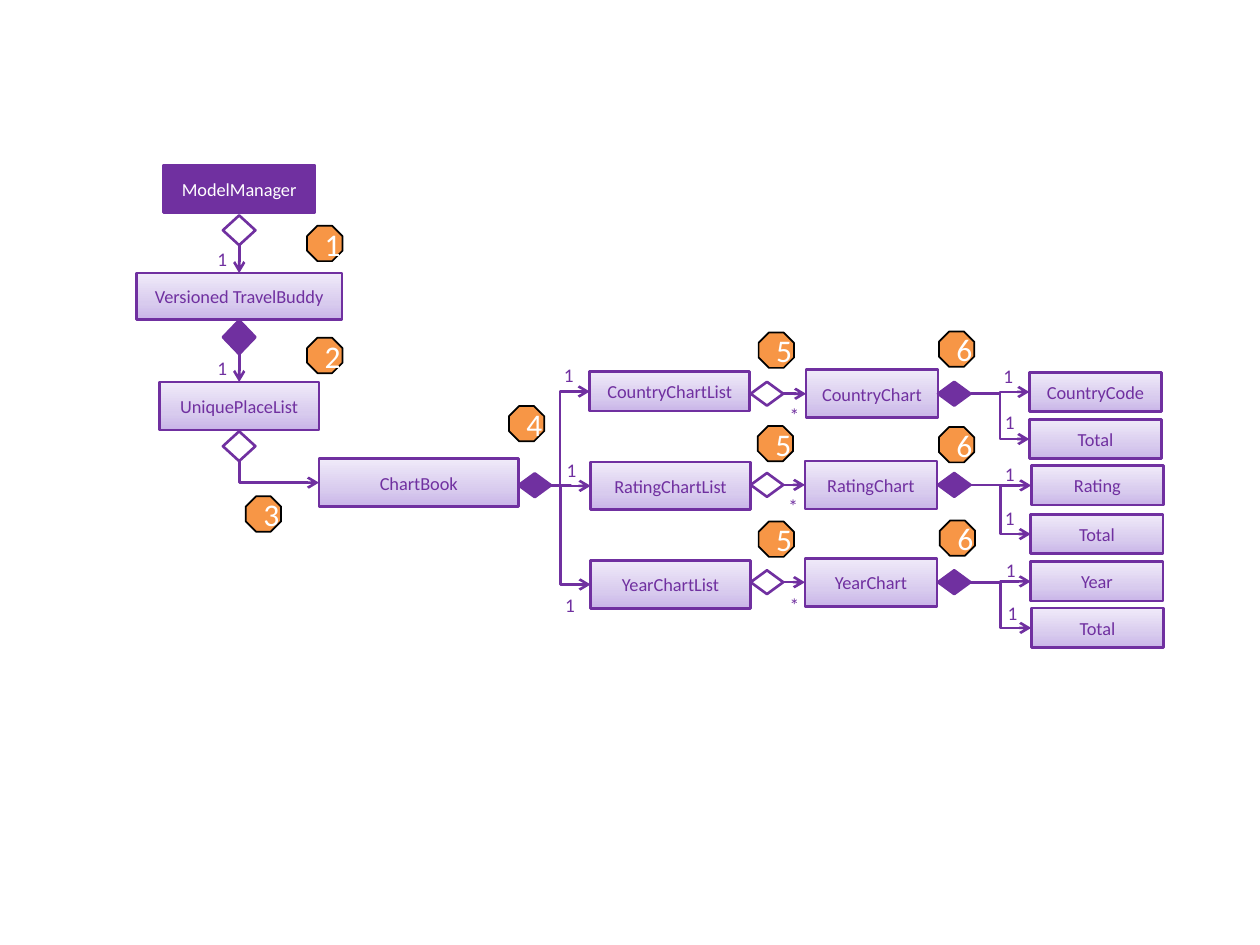
import pptx
import pptx.dml.color
import pptx.enum.shapes
import pptx.enum.text
import pptx.oxml.ns
import pptx.util
from lxml import etree

Pt = pptx.util.Pt
SHAPE = pptx.enum.shapes.MSO_SHAPE
CONNECTOR = pptx.enum.shapes.MSO_CONNECTOR
qn = pptx.oxml.ns.qn
TOP, LEFT, BOTTOM, RIGHT = range(4)


def colour(hex_value):
    return pptx.dml.color.RGBColor.from_string(hex_value)


class ClassDiagram:
    FONT = "Calibri"
    PURPLE, ORANGE, BLACK, WHITE = "7030A0", "F79646", "000000", "FFFFFF"
    GRADIENT = ((0, "C9B5E8"), (35, "D8CBEE"), (100, "F0EAF9"))
    DIAMOND_WIDTH = 18.6

    def __init__(self, slide):
        self.slide = slide

    def add_text(self, frame, text, size, text_colour):
        paragraph = frame.paragraphs[0]
        paragraph.alignment = pptx.enum.text.PP_ALIGN.CENTER
        run = paragraph.add_run()
        run.text = text
        run.font.name = self.FONT
        run.font.size = Pt(size)
        run.font.color.rgb = colour(text_colour)

    def outline(self, kind, left, top, width, height, line, weight):
        shape = self.slide.shapes.add_shape(
            kind, Pt(left), Pt(top), Pt(width), Pt(height))
        shape.shadow.inherit = False
        shape.line.color.rgb = colour(line)
        shape.line.width = Pt(weight)
        return shape

    def box(self, name, left, middle, width, height, solid=False):
        """A class box, placed by its left edge and vertical middle."""
        box = self.outline(SHAPE.RECTANGLE, left, middle - height / 2,
                           width, height, self.PURPLE, 1.5)
        if solid:
            box.fill.solid()
            box.fill.fore_color.rgb = colour(self.PURPLE)
        else:
            box.fill.gradient()
            box.fill.gradient_angle = 90
            stops = next(box.element.iter(qn("a:gsLst")))
            for stop in list(stops):
                stops.remove(stop)
            for percent, shade in self.GRADIENT:
                stop = etree.SubElement(stops, qn("a:gs"), pos=str(percent * 1000))
                etree.SubElement(stop, qn("a:srgbClr"), val=shade)
        self.add_text(box.text_frame, name, 10.5,
                      self.WHITE if solid else self.PURPLE)
        return box

    def diamond(self, left, middle, height=13.6, composition=False):
        """Filled for composition, open for aggregation."""
        diamond = self.outline(SHAPE.FLOWCHART_DECISION, left, middle - height / 2,
                               self.DIAMOND_WIDTH, height, self.PURPLE, 1.5)
        if composition:
            diamond.fill.solid()
            diamond.fill.fore_color.rgb = colour(self.PURPLE)
        else:
            diamond.fill.background()
        return diamond

    def badge(self, number, left, top):
        badge = self.outline(SHAPE.OCTAGON, left, top, 20.2, 20.2, self.BLACK, 1)
        badge.fill.solid()
        badge.fill.fore_color.rgb = colour(self.ORANGE)
        self.add_text(badge.text_frame, number, 18, self.WHITE)

    def multiplicity(self, text, left, top):
        label = self.slide.shapes.add_textbox(Pt(left), Pt(top), Pt(15.1), Pt(14.4))
        frame = label.text_frame
        frame.word_wrap = True
        frame.margin_left = frame.margin_right = 0
        frame.margin_top = frame.margin_bottom = 0
        self.add_text(frame, text, 11, self.PURPLE)

    def arrow(self, kind, start, start_side, end, end_side, bend=None):
        arrow = self.slide.shapes.add_connector(kind, 0, 0, 0, 0)
        arrow.begin_connect(start, start_side)
        arrow.end_connect(end, end_side)
        arrow.line.color.rgb = colour(self.PURPLE)
        arrow.line.width = Pt(1.5)
        properties = arrow.element.spPr
        etree.SubElement(properties.find(qn("a:ln")), qn("a:tailEnd"), type="arrow")
        etree.SubElement(properties, qn("a:effectLst"))
        if bend is not None:
            guides = next(properties.iter(qn("a:avLst")))
            etree.SubElement(guides, qn("a:gd"), name="adj1",
                             fmla=f"val {round(bend * 100000)}")
        return arrow

    def down(self, start, end):
        self.arrow(CONNECTOR.STRAIGHT, start, BOTTOM, end, TOP)

    def across(self, start, end, bend=0.5):
        self.arrow(CONNECTOR.ELBOW, start, RIGHT, end, LEFT, bend)

    def down_then_right(self, start, end):
        """One corner: a quarter-turned, mirrored bentConnector2."""
        arrow = self.arrow(CONNECTOR.ELBOW, start, BOTTOM, end, LEFT)
        run, drop = arrow.width, arrow.height
        left, top = arrow.left, arrow.top
        arrow.left, arrow.top = left + (run - drop) // 2, top + (drop - run) // 2
        arrow.width, arrow.height = drop, run
        arrow.element.spPr.find(qn("a:prstGeom")).set("prst", "bentConnector2")
        transform = arrow.element.spPr.find(qn("a:xfrm"))
        transform.set("rot", "16200000")
        transform.set("flipH", "1")


def main():
    deck = pptx.Presentation()
    deck.slide_width, deck.slide_height = Pt(720), Pt(540)
    diagram = ClassDiagram(deck.slides.add_slide(deck.slide_layouts[6]))

    # Manager chain, centred on one vertical axis
    axis = 136.7
    diamond_left = axis - diagram.DIAMOND_WIDTH / 2
    manager = diagram.box("ModelManager", axis - 43.3, 108, 86.6, 27.2, solid=True)
    versioned = diagram.box("Versioned TravelBuddy", axis - 58.7, 169.4, 117.4, 26.6)
    places = diagram.box("UniquePlaceList", axis - 45.7, 232, 91.4, 27.4)
    manager_owns = diagram.diamond(diamond_left, 131.6, 17)
    versioned_owns = diagram.diamond(diamond_left, 192.7, 19.4, composition=True)
    places_own = diagram.diamond(diamond_left, 255, 17)
    diagram.down(manager_owns, versioned)
    diagram.down(versioned_owns, places)

    # Chart book
    book = diagram.box("ChartBook", 182.2, 275.8, 114.3, 27.4)
    book_owns = diagram.diamond(296.3, 277.3, composition=True)
    diagram.down_then_right(places_own, book)

    # One row per chart kind: kind, middle, list (left, middle, height), bend,
    # chart left, leaf name, leaf (left, middle), total (left, middle)
    rows = (
        ("Country", 225, (337, 223.7, 22.5), 0.23, 460.6,
         "CountryCode", (588.2, 224), (588.2, 250.9)),
        ("Rating", 277.1, (337.5, 277.6, 27.4), 0.5, 460,
         "Rating", (589.3, 277.4), (589, 305.2)),
        ("Year", 332.7, (337.5, 334, 27.4), 0.24, 460,
         "Year", (589, 332.3), (589.3, 358.8)),
    )
    for kind, middle, (left, list_middle, height), bend, chart_left, leaf, \
            leaf_at, total_at in rows:
        chart_list = diagram.box(kind + "ChartList", left, list_middle, 91.4, height)
        chart = diagram.box(kind + "Chart", chart_left, middle, 75.4, 27.4)
        list_owns = diagram.diamond(429, middle)
        chart_owns = diagram.diamond(536, middle, composition=True)
        diagram.across(book_owns, chart_list, bend)
        diagram.across(list_owns, chart)
        for name, (part_left, part_middle) in ((leaf, leaf_at), ("Total", total_at)):
            part = diagram.box(name, part_left, part_middle, 75.6, 22.5)
            diagram.across(chart_owns, part)

    # Multiplicities
    multiplicities = {
        "1": ((119.5, 141.1), (119.5, 203.8),
              (317.5, 207.4), (319, 262), (318.2, 339.1),
              (568.6, 208), (569.5, 234.7), (569.5, 264.4),
              (569.5, 289.4), (570, 319), (571, 343.4)),
        "*": ((446.4, 230.4), (445.7, 282.2), (446.4, 339.1)),
    }
    for text, positions in multiplicities.items():
        for left, top in positions:
            diagram.multiplicity(text, left, top)

    # Numbered steps
    steps = {
        "1": ((175.5, 129),),
        "2": ((175.5, 193),),
        "3": ((140.4, 283.6),),
        "4": ((290.8, 232),),
        "5": ((433.5, 190), (433, 243.4), (433.5, 298)),
        "6": ((536.5, 189.4), (536.5, 244), (537, 297.4)),
    }
    for number, positions in steps.items():
        for left, top in positions:
            diagram.badge(number, left, top)

    deck.save("out.pptx")


if __name__ == "__main__":
    main()
